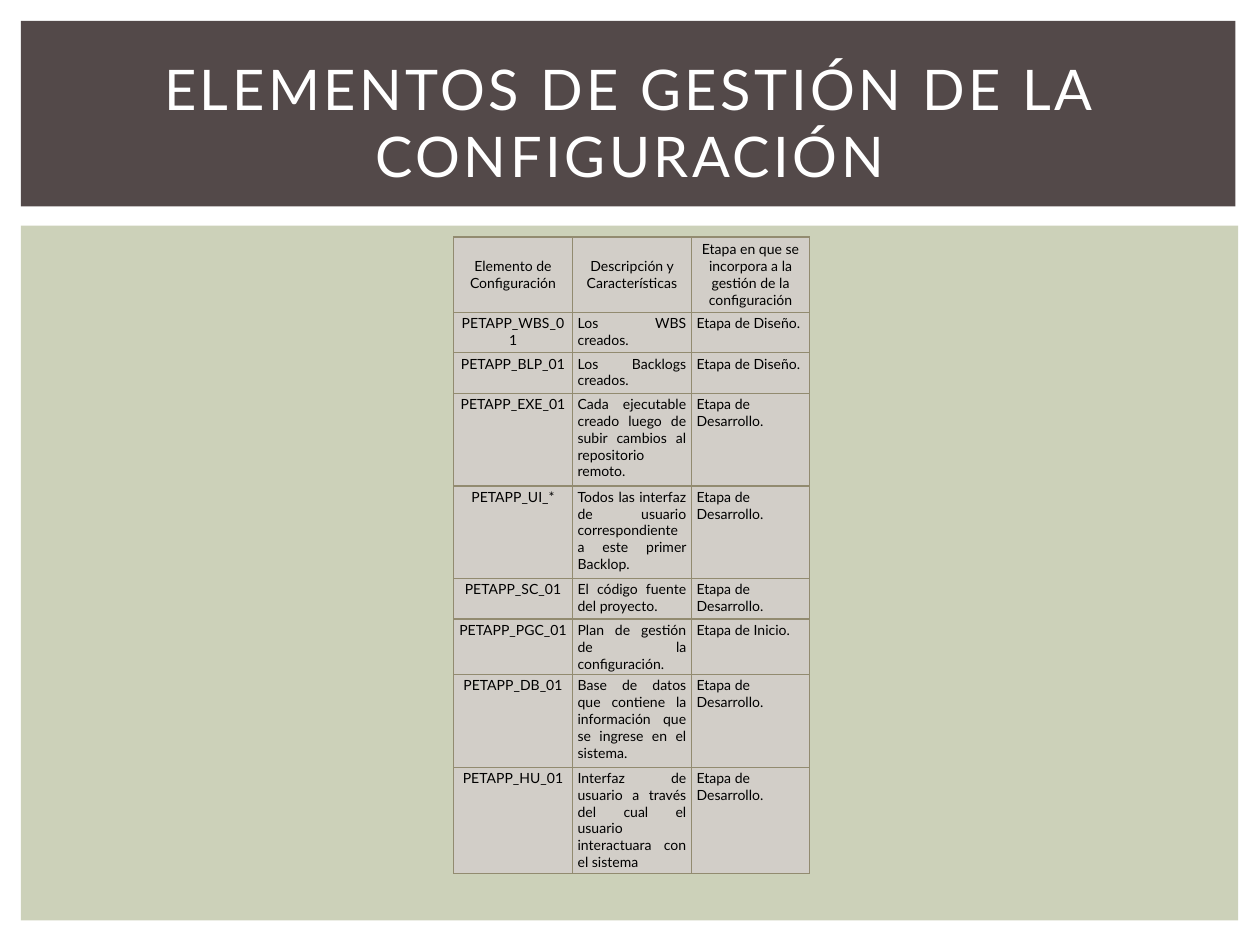
from dataclasses import dataclass

from lxml import etree
from pptx import Presentation
from pptx.dml.color import RGBColor
from pptx.enum import shapes, text
from pptx.oxml import ns
from pptx.util import Pt


@dataclass(frozen=True)
class Theme:
    """Colours, font and type sizes of the slide."""
    font: str = "Lato"
    title_size: float = 32
    cell_size: float = 8
    panel: str = "CCD1B9"
    banner: str = "534949"
    cell: str = "D2CEC8"
    border: str = "928B70"
    light: str = "FFFFFF"
    dark: str = "000000"


ALIGN = text.PP_ALIGN
ANCHOR = text.MSO_ANCHOR


def write(frame, words, font, size, color, align=ALIGN.LEFT, after=0, spacing=0):
    """Put one formatted paragraph into a text frame."""
    para = frame.paragraphs[0]
    para.alignment = align
    para.space_after = Pt(after)
    span = para.add_run()
    span.text = words
    span.font.name = font
    span.font.size = Pt(size)
    span.font.color.rgb = RGBColor.from_string(color)
    if spacing:
        span.font._element.set("spc", str(int(spacing * 100)))


class SlideBuilder:
    """Holds the theme and the current slide."""

    def __init__(self, slide, theme):
        """Keep the slide and its theme."""
        self.slide = slide
        self.theme = theme

    def band(self, left, top, width, height, color):
        """Add a plain filled rectangle."""
        box = self.slide.shapes.add_shape(
            shapes.MSO_SHAPE.RECTANGLE, Pt(left), Pt(top), Pt(width), Pt(height))
        box.shadow.inherit = False
        box.fill.solid()
        box.fill.fore_color.rgb = RGBColor.from_string(color)
        box.line.fill.background()

    def title(self, words, left, top, width, height):
        """Place the title placeholder in front of the bands."""
        box = self.slide.shapes.title
        box.left, box.top, box.width, box.height = map(Pt, (left, top, width, height))
        self.slide.shapes._spTree.append(box._element)
        frame = box.text_frame
        frame.word_wrap = True
        frame.auto_size = text.MSO_AUTO_SIZE.NONE
        frame.vertical_anchor = ANCHOR.MIDDLE
        write(frame, words, self.theme.font, self.theme.title_size,
              self.theme.light, align=ALIGN.CENTER, spacing=2)

    def border(self, cell, width=0.79):
        """Draw the four borders of a cell."""
        props = cell._tc.get_or_add_tcPr()
        for index, side in enumerate(("lnL", "lnR", "lnT", "lnB")):
            line = etree.Element(ns.qn(f"a:{side}"), w=str(Pt(width)))
            fill = etree.SubElement(line, ns.qn("a:solidFill"))
            etree.SubElement(fill, ns.qn("a:srgbClr"), val=self.theme.border)
            props.insert(index, line)

    def cell(self, cell, words, align, anchor):
        """Fill, frame and write one table cell."""
        cell.fill.solid()
        cell.fill.fore_color.rgb = RGBColor.from_string(self.theme.cell)
        cell.margin_left = cell.margin_right = Pt(2.9)
        cell.margin_top = cell.margin_bottom = Pt(1.45)
        cell.vertical_anchor = anchor
        write(cell.text_frame, words, self.theme.font, self.theme.cell_size,
              self.theme.dark, align=align, after=6)
        self.border(cell)

    def table(self, rows, left, top, widths, heights, aligns):
        """Add a table whose first row is a centred header."""
        grid = self.slide.shapes.add_table(
            len(rows), len(widths), Pt(left), Pt(top),
            Pt(sum(widths)), Pt(sum(heights))).table
        grid.first_row = grid.horz_banding = False
        for column, width in zip(grid.columns, widths):
            column.width = Pt(width)
        for index, (row, height) in enumerate(zip(rows, heights)):
            grid.rows[index].height = Pt(height)
            for column, words in enumerate(row):
                align = aligns[column] if index else ALIGN.CENTER
                anchor = ANCHOR.TOP if index else ANCHOR.MIDDLE
                self.cell(grid.cell(index, column), words, align, anchor)


HEADER = ("Elemento de Configuración", "Descripción y Características",
          "Etapa en que se incorpora a la gestión de la configuración")
ELEMENTS = [
    ("WBS_01", "Los WBS creados.", "Diseño"),
    ("BLP_01", "Los Backlogs creados.", "Diseño"),
    ("EXE_01", "Cada ejecutable creado luego de subir cambios al repositorio remoto.",
     "Desarrollo"),
    ("UI_*", "Todos las interfaz de usuario correspondiente a este primer Backlop.",
     "Desarrollo"),
    ("SC_01", "El código fuente del proyecto. ", "Desarrollo"),
    ("PGC_01", "Plan de gestión de la configuración.", "Inicio"),
    ("DB_01", "Base de datos que contiene la información que se ingrese en el sistema.",
     "Desarrollo"),
    ("HU_01", "Interfaz de usuario a través del cual el usuario interactuara con el sistema",
     "Desarrollo"),
]
SHORT, TALL = 23.2, 52.9


def main():
    """Build and save the deck."""
    deck = Presentation()
    deck.slide_width, deck.slide_height = Pt(720), Pt(540)
    theme = Theme()
    page = SlideBuilder(deck.slides.add_slide(deck.slide_layouts[5]), theme)
    page.band(12, 128.9, 695.5, 397.1, theme.panel)
    page.band(12, 12, 694, 106, theme.banner)
    rows = [HEADER] + [(f"PETAPP_{code}", about, f"Etapa de {stage}.")
                       for code, about, stage in ELEMENTS]
    page.table(rows, left=259.2, top=135.4, widths=(68, 68, 67.6),
               heights=(43, SHORT, SHORT, TALL, TALL, SHORT, SHORT, TALL, TALL),
               aligns=(ALIGN.CENTER, ALIGN.JUSTIFY, ALIGN.LEFT))
    page.title("ELEMENTOS DE GESTIÓN DE LA CONFIGURACIÓN", 30, 28, 660, 83)
    deck.save("out.pptx")


main()
